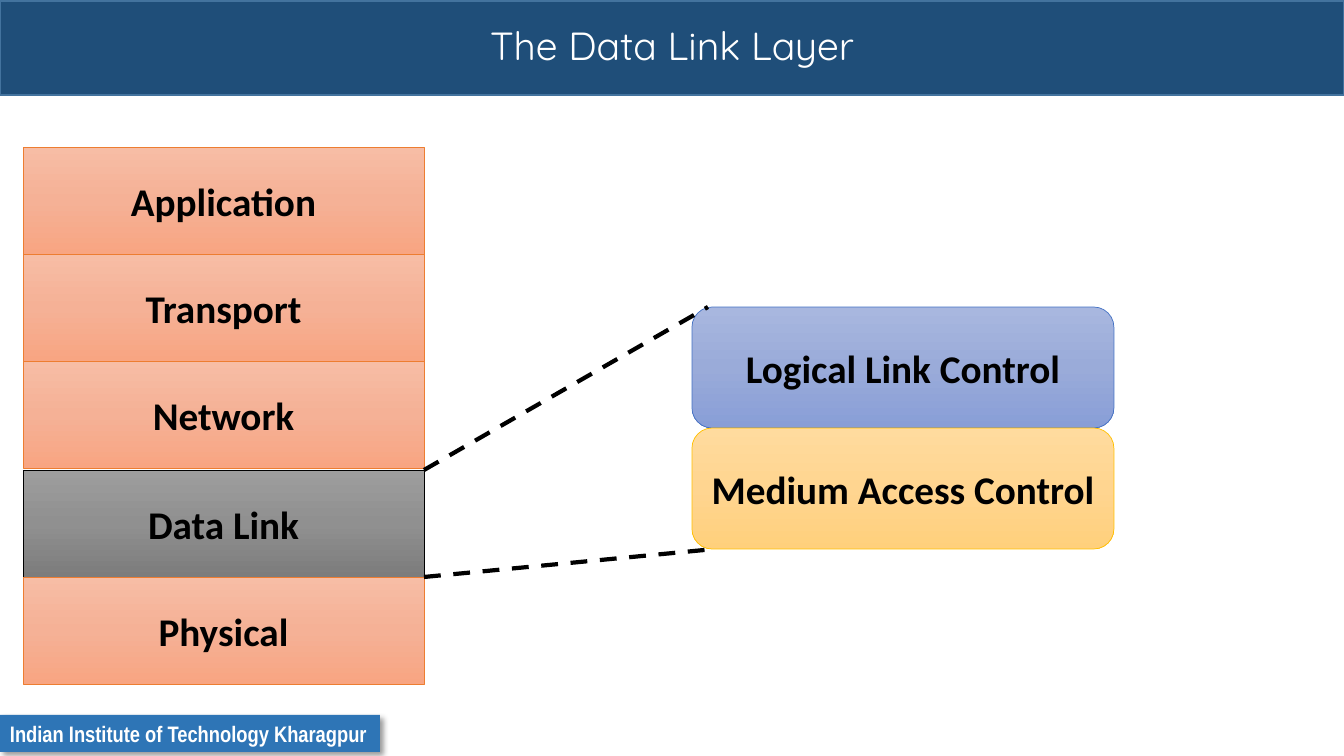
from copy import deepcopy
from dataclasses import dataclass

from lxml import etree
from pptx import Presentation
from pptx.dml.color import RGBColor
from pptx.enum.dml import MSO_LINE
from pptx.enum.shapes import MSO_CONNECTOR as CONNECTOR, MSO_SHAPE as SHAPE
from pptx.enum.text import MSO_ANCHOR as ANCHOR, MSO_AUTO_SIZE as AUTO_SIZE, PP_ALIGN as ALIGN
from pptx.oxml.ns import qn
from pptx.util import Pt

PX = 12192000 / 1344


def px(length):
    return round(length * PX)


@dataclass(frozen=True)
class Box:
    left: int
    top: int
    width: int
    height: int

    @property
    def right(self):
        return self.left + self.width

    @property
    def bottom(self):
        return self.top + self.height


@dataclass(frozen=True)
class Paint:
    stops: tuple
    line: str


@dataclass(frozen=True)
class Theme:
    title_fill: str = "1F4E79"
    title_line: str = "43739E"
    footer_fill: str = "2E75B6"
    light: str = "FFFFFF"
    dark: str = "000000"
    orange: Paint = Paint(("F7BDA5", "F5B196", "F8A582"), "ED7D31")
    gray: Paint = Paint(("9D9D9D", "909090", "7C7C7C"), "000000")
    blue: Paint = Paint(("A8B7DF", "9AABD9", "889ED7"), "4472C4")
    yellow: Paint = Paint(("FFDB9E", "FFD590", "FFD07C"), "FFC000")
    title_font: str = "Quicksand"
    body_font: str = "Calibri"
    footer_font: str = "Arial Narrow"
    body_size: int = 28
    footer_size: int = 16
    thin: float = 0.5
    border: int = 1
    guide: int = 3


THEME = Theme()


def rgb(value):
    return RGBColor.from_string(value)


def add_box(slide, kind, box, text, font_name, size, color, bold=True):
    shape = slide.shapes.add_shape(
        kind, px(box.left), px(box.top), px(box.width), px(box.height))
    shape.shadow.inherit = False
    frame = shape.text_frame
    frame.text = text
    frame.vertical_anchor = ANCHOR.MIDDLE
    paragraph = frame.paragraphs[0]
    paragraph.alignment = ALIGN.CENTER
    font = paragraph.runs[0].font
    font.name, font.size, font.bold = font_name, Pt(size), bold
    font.color.rgb = rgb(color)
    return shape


def fill_solid(shape, color):
    shape.fill.solid()
    shape.fill.fore_color.rgb = rgb(color)


def fill_gradient(shape, colors):
    shape.fill.gradient()
    shape.fill.gradient_angle = 270
    stop_list = shape._element.spPr.find(qn("a:gradFill")).find(qn("a:gsLst"))
    stop_list.insert(1, deepcopy(stop_list[0]))
    for index, (stop, color) in enumerate(zip(shape.fill.gradient_stops, colors)):
        stop.position = index / 2
        stop.color.rgb = rgb(color)


def add_layer(slide, kind, box, text, paint):
    shape = add_box(slide, kind, box, text, THEME.body_font, THEME.body_size, THEME.dark)
    fill_gradient(shape, paint.stops)
    shape.line.color.rgb = rgb(paint.line)
    shape.line.width = Pt(THEME.thin)


def add_title_bar(slide, box, text):
    shape = add_box(slide, SHAPE.RECTANGLE, box, text, THEME.title_font,
                    THEME.body_size, THEME.light, bold=False)
    fill_solid(shape, THEME.title_fill)
    shape.line.color.rgb = rgb(THEME.title_line)
    shape.line.width = Pt(THEME.border)
    shape.text_frame.paragraphs[0].line_spacing = 0.9


def add_shadow(shape):
    effects = shape._element.spPr.find(qn("a:effectLst"))
    shadow = etree.SubElement(
        effects, qn("a:outerShdw"), blurRad=str(Pt(4)), dist=str(Pt(3)),
        dir="2700000", algn="tl", rotWithShape="0")
    color = etree.SubElement(shadow, qn("a:srgbClr"), val=THEME.dark)
    etree.SubElement(color, qn("a:alpha"), val="40000")


def add_footer(slide, box, text):
    shape = add_box(slide, SHAPE.RECTANGLE, box, text, THEME.footer_font,
                    THEME.footer_size, THEME.light)
    fill_solid(shape, THEME.footer_fill)
    shape.line.fill.background()
    add_shadow(shape)
    frame = shape.text_frame
    frame.word_wrap = False
    frame.auto_size = AUTO_SIZE.SHAPE_TO_FIT_TEXT
    frame.vertical_anchor = ANCHOR.TOP
    frame.paragraphs[0].alignment = ALIGN.LEFT


def add_protocol_stack(slide, box, names, selected, gap):
    height = (box.height - gap) // len(names)
    chosen = names.index(selected)
    for index, name in enumerate(names):
        offset = gap if index >= chosen else 0
        layer = Box(box.left, box.top + index * height + offset, box.width, height)
        paint = THEME.gray if index == chosen else THEME.orange
        add_layer(slide, SHAPE.RECTANGLE, layer, name, paint)
    return Box(box.left, box.top + chosen * height + gap, box.width, height)


def add_sublayers(slide, box, sublayers):
    height = box.height // len(sublayers)
    for index, (name, paint) in enumerate(sublayers):
        sublayer = Box(box.left, box.top + index * height, box.width, height)
        add_layer(slide, SHAPE.ROUNDED_RECTANGLE, sublayer, name, paint)


def add_zoom_lines(slide, layer, detail):
    ends = ((layer.top, detail.left + 16, detail.top),
            (layer.bottom, detail.left + 23, detail.bottom))
    for start_y, end_x, end_y in ends:
        connector = slide.shapes.add_connector(
            CONNECTOR.STRAIGHT, px(layer.right), px(start_y), px(end_x), px(end_y))
        connector.line.color.rgb = rgb(THEME.dark)
        connector.line.width = Pt(THEME.guide)
        connector.line.dash_style = MSO_LINE.DASH
        etree.SubElement(connector._element.spPr, qn("a:effectLst"))


def build_layer_slide(presentation):
    slide = presentation.slides.add_slide(presentation.slide_layouts[6])
    add_title_bar(slide, Box(0, 1, 1344, 94), "The Data Link Layer")
    add_footer(slide, Box(0, 715, 380, 37), "Indian Institute of Technology Kharagpur")
    names = ("Application", "Transport", "Network", "Data Link", "Physical")
    data_link = add_protocol_stack(slide, Box(23, 147, 401, 537), names, "Data Link", 2)
    detail = Box(692, 307, 422, 242)
    add_sublayers(slide, detail, (("Logical Link Control", THEME.blue),
                                  ("Medium Access Control", THEME.yellow)))
    add_zoom_lines(slide, data_link, detail)


def main():
    presentation = Presentation()
    presentation.slide_width, presentation.slide_height = px(1344), px(756)
    build_layer_slide(presentation)
    presentation.save("out.pptx")


if __name__ == "__main__":
    main()
